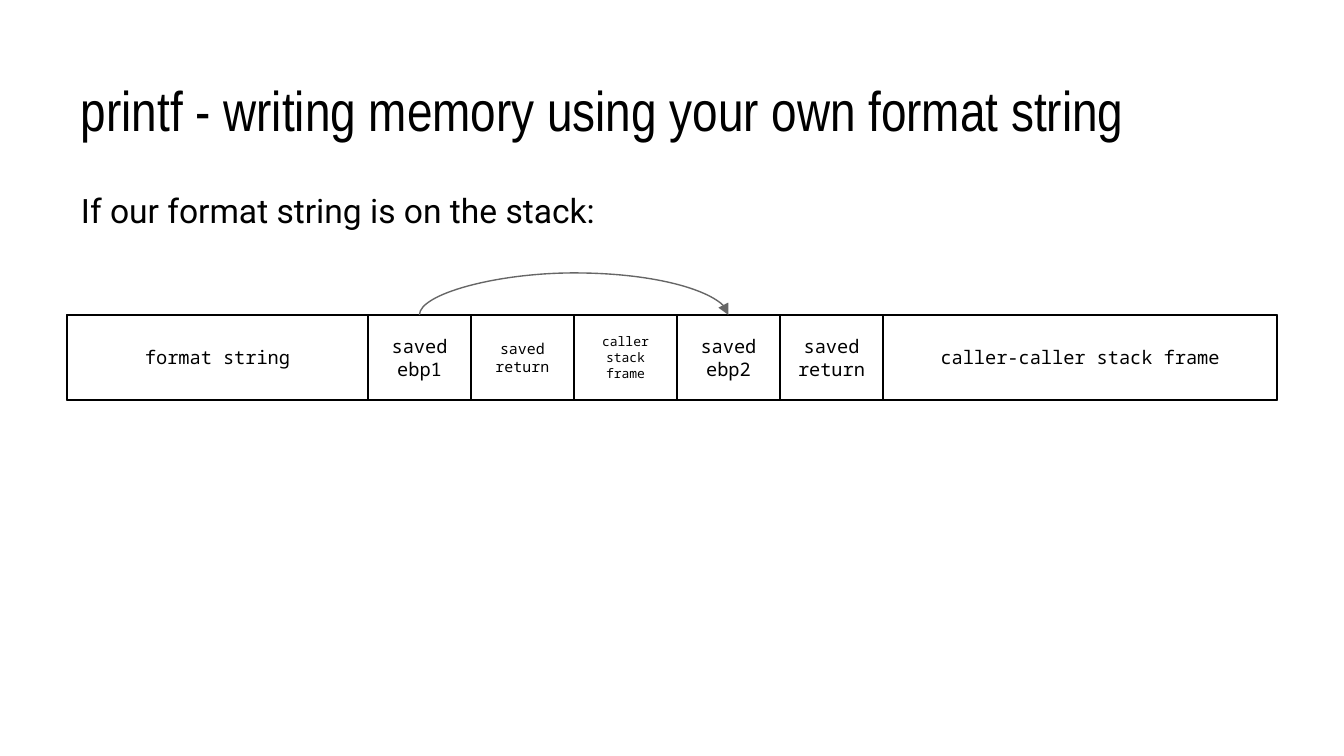
from lxml.etree import SubElement
from pptx import Presentation
from pptx.dml.color import RGBColor
from pptx.enum.shapes import MSO_CONNECTOR as Connector, MSO_SHAPE as Shape
from pptx.enum.text import MSO_ANCHOR as Anchor, PP_ALIGN as Align
from pptx.oxml.ns import qn
from pptx.util import Emu, Pt

EMU_PER_PX = 914400 / 134.4
COLORS = {"background": "FFFFFF", "ink": "000000", "arrow": "666666"}
MONO = "Noto Sans Mono"
INSET = 14
STACK_LEFT, STACK_TOP, STACK_HEIGHT = 67, 315, 85
STACK_CELLS = [
    ("format string", 301, 10),
    ("saved ebp1", 103, 10),
    ("saved return", 103, 8),
    ("caller stack frame", 103, 7),
    ("saved ebp2", 103, 10),
    ("saved return", 103, 10),
    ("caller-caller stack frame", 394, 10),
]
ARC_RISE = 35
ARC_THICKNESS = Emu(600)


def px(length):
    return Emu(round(length * EMU_PER_PX))


def color(name):
    return RGBColor.from_string(COLORS[name])


def write_text(shape, text, size, font, anchor, align):
    frame = shape.text_frame
    frame.word_wrap = True
    frame.vertical_anchor = anchor
    frame.margin_left = frame.margin_right = px(INSET)
    frame.margin_top = frame.margin_bottom = px(INSET)
    paragraph = frame.paragraphs[0]
    paragraph.text = text
    paragraph.alignment = align
    paragraph.font.size = Pt(size)
    paragraph.font.name = font
    paragraph.font.color.rgb = color("ink")
    return paragraph


def add_text(slide, box, text, size, font, anchor=Anchor.TOP):
    shape = slide.shapes.add_textbox(*map(px, box))
    return write_text(shape, text, size, font, anchor, Align.LEFT)


def add_frame(slide, left, width):
    shape = slide.shapes.add_shape(
        Shape.RECTANGLE, px(left), px(STACK_TOP), px(width), px(STACK_HEIGHT))
    shape.shadow.inherit = False
    shape.fill.background()
    shape.line.color.rgb = color("ink")
    shape.line.width = Pt(0.75)
    return shape


def add_stack(slide):
    add_frame(slide, STACK_LEFT, sum(width for _, width, _ in STACK_CELLS))
    cells = []
    left = STACK_LEFT
    for text, width, size in STACK_CELLS:
        cell = add_frame(slide, left, width)
        write_text(cell, text, size, MONO, Anchor.MIDDLE, Align.CENTER)
        cells.append(cell)
        left += width
    return cells


def add_arc(slide, source, target):
    connector = slide.shapes.add_connector(Connector.CURVE, 0, 0, 0, 0)
    connector.begin_connect(source, 0)
    connector.end_connect(target, 0)
    start = source.left + source.width // 2
    end = target.left + target.width // 2
    span = end - start
    connector.left = Emu((start + end - ARC_THICKNESS) // 2)
    connector.top = Emu(source.top - span // 2)
    connector.width, connector.height = ARC_THICKNESS, Emu(span)
    connector.line.color.rgb = color("arrow")
    connector.line.width = Pt(0.75)

    properties = connector._element.spPr
    transform = properties.find(qn("a:xfrm"))
    transform.set("rot", str(270 * 60000))
    transform.set("flipH", "1")
    transform.set("flipV", "0")
    adjustments = properties.find(qn("a:prstGeom")).get_or_add_avLst()
    bend = round(-px(ARC_RISE) / ARC_THICKNESS * 100000)
    SubElement(adjustments, qn("a:gd"), name="adj1", fmla=f"val {bend}")
    SubElement(connector.line._get_or_add_ln(), qn("a:tailEnd"), type="triangle")
    SubElement(properties, qn("a:effectLst"))


def main():
    presentation = Presentation()
    presentation.slide_width, presentation.slide_height = px(1344), px(756)
    slide = presentation.slides.add_slide(presentation.slide_layouts[6])
    slide.background.fill.solid()
    slide.background.fill.fore_color.rgb = color("background")

    add_text(slide, (67, 31, 1210, 126),
             "printf - writing memory using your own format string",
             30, "Arial Narrow", Anchor.BOTTOM)
    body = add_text(slide, (67, 176, 1210, 547),
                    "If our format string is on the stack:", 18, "Roboto")
    body.space_before = Pt(6)

    cells = add_stack(slide)
    add_arc(slide, cells[1], cells[4])
    presentation.save("out.pptx")


if __name__ == "__main__":
    main()
